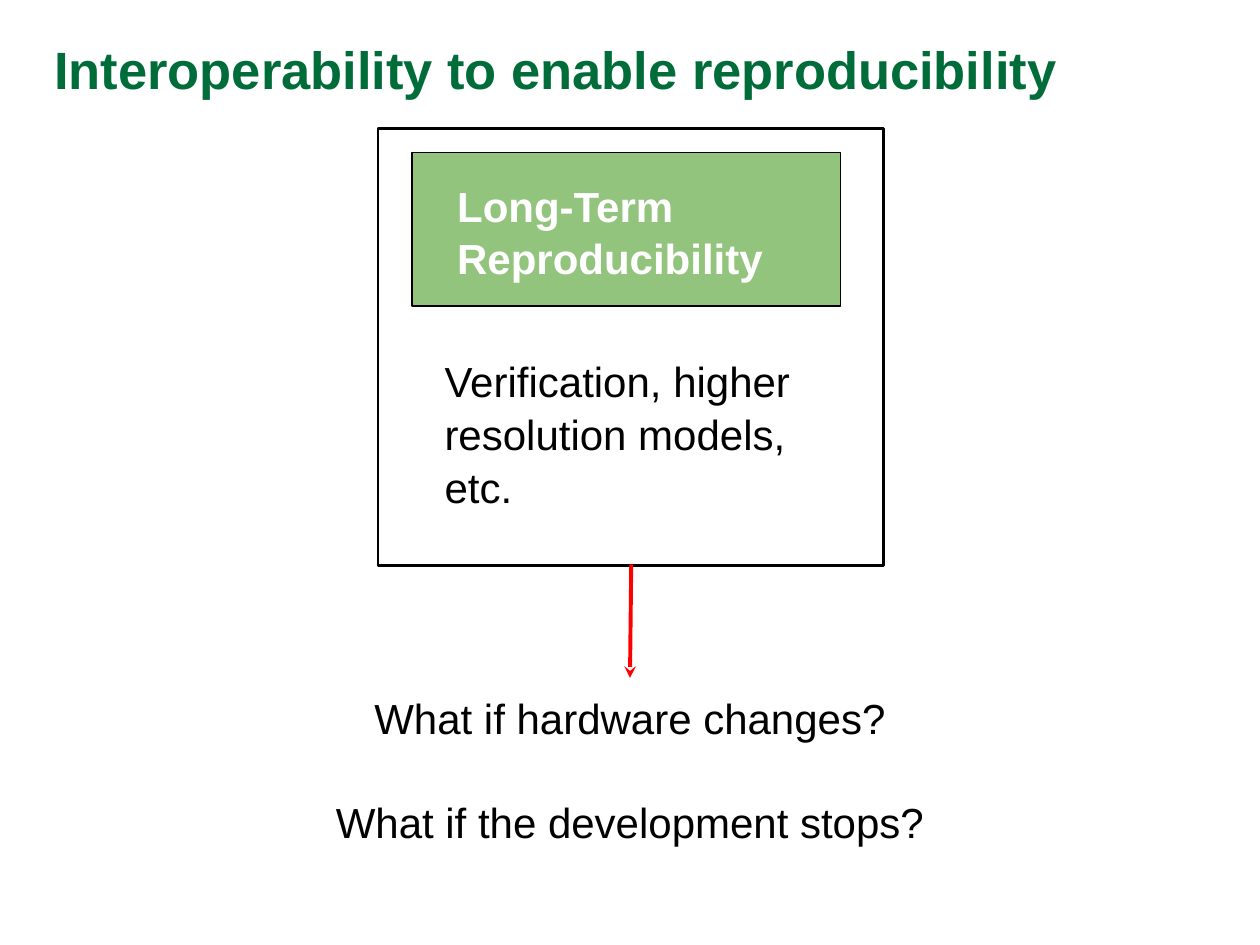
"""Build the slide on interoperability and long-term reproducibility."""
import dataclasses
import typing

import pptx
import pptx.dml.color
import pptx.enum.shapes
import pptx.enum.text
import pptx.oxml
import pptx.oxml.ns
import pptx.util

Inches = pptx.util.Inches
Pt = pptx.util.Pt
RGBColor = pptx.dml.color.RGBColor
Align = pptx.enum.text.PP_ALIGN
Anchor = pptx.enum.text.MSO_ANCHOR

BLACK = RGBColor(0, 0, 0)
WHITE = RGBColor(255, 255, 255)
FOREST = RGBColor(0x00, 0x6C, 0x3A)
GREEN = RGBColor(0x93, 0xC4, 0x7D)
RED = RGBColor(255, 0, 0)


@dataclasses.dataclass
class Panel:
    area: tuple[float, ...]
    width: float
    fill: typing.Optional[RGBColor] = None


@dataclasses.dataclass
class Label:
    area: tuple[float, ...]
    lines: list[str]
    color: RGBColor = BLACK
    size: int = 24
    bold: bool = False
    align: Align = Align.LEFT
    inset: float = 0.1
    anchor: Anchor = Anchor.TOP


TITLE = Label((0.33, 0.23, 9, 0.61), ["Interoperability to enable reproducibility"],
              FOREST, 30, True, inset=0.05, anchor=Anchor.MIDDLE)
PANELS = [
    Panel((3, 1.02, 4.01, 3.47), 1.5),
    Panel((3.27, 1.21, 3.4, 1.22), 0.75, GREEN),
]
LABELS = [
    Label((0.47, 5.38, 9.06, 1.3),
          ["What if hardware changes?", "What if the development stops?"],
          align=Align.CENTER),
    Label((3.53, 1.31, 2.97, 1.06), ["Long-Term Reproducibility"], WHITE, bold=True),
    Label((3.43, 2.7, 3.4, 1.85), ["Verification, higher resolution models, etc."]),
]


def apply(target: typing.Any, values: dict[str, typing.Any]) -> None:
    for name, value in values.items():
        setattr(target, name, value)


def draw_panel(shapes: typing.Any, panel: Panel) -> None:
    box = shapes.add_shape(pptx.enum.shapes.MSO_SHAPE.RECTANGLE, *map(Inches, panel.area))
    box.shadow.inherit = False
    if panel.fill is None:
        box.fill.background()
    else:
        box.fill.solid()
        box.fill.fore_color.rgb = panel.fill
    box.line.color.rgb = BLACK
    box.line.width = Pt(panel.width)


def write_label(box: typing.Any, label: Label) -> None:
    frame = box.text_frame
    apply(frame, {
        "text": "\n".join(label.lines),
        "word_wrap": True,
        "auto_size": pptx.enum.text.MSO_AUTO_SIZE.NONE,
        "vertical_anchor": label.anchor,
        "margin_left": Inches(0.1),
        "margin_right": Inches(0.1),
        "margin_top": Inches(label.inset),
        "margin_bottom": Inches(label.inset),
    })
    for index, para in enumerate(frame.paragraphs):
        apply(para, {"alignment": label.align, "line_spacing": 1.05,
                     "space_before": Pt(29 if index else 0)})
        for run in para.runs:
            apply(run.font, {"name": "Arial", "size": Pt(label.size), "bold": label.bold})
            run.font.color.rgb = label.color


def draw_arrow(shapes: typing.Any, *ends: float) -> None:
    arrow = shapes.add_connector(pptx.enum.shapes.MSO_CONNECTOR.STRAIGHT, *map(Inches, ends))
    arrow.line.color.rgb = RED
    arrow.line.width = Pt(2.25)
    tail = pptx.oxml.parse_xml(
        f'<a:tailEnd {pptx.oxml.ns.nsdecls("a")} type="stealth" w="med" len="med"/>')
    arrow.line._get_or_add_ln().append(tail)
    arrow._element.spPr.append(
        pptx.oxml.parse_xml(f'<a:effectLst {pptx.oxml.ns.nsdecls("a")}/>'))


def main() -> None:
    deck = pptx.Presentation()
    apply(deck, {"slide_width": Inches(10), "slide_height": Inches(7.5)})
    shapes = deck.slides.add_slide(deck.slide_layouts[5]).shapes
    title = shapes.title
    apply(title, dict(zip(("left", "top", "width", "height"), map(Inches, TITLE.area))))
    write_label(title, TITLE)
    for panel in PANELS:
        draw_panel(shapes, panel)
    for label in LABELS:
        write_label(shapes.add_textbox(*map(Inches, label.area)), label)
    draw_arrow(shapes, 5.01, 4.48, 5, 5.38)
    deck.save("out.pptx")


if __name__ == "__main__":
    main()
